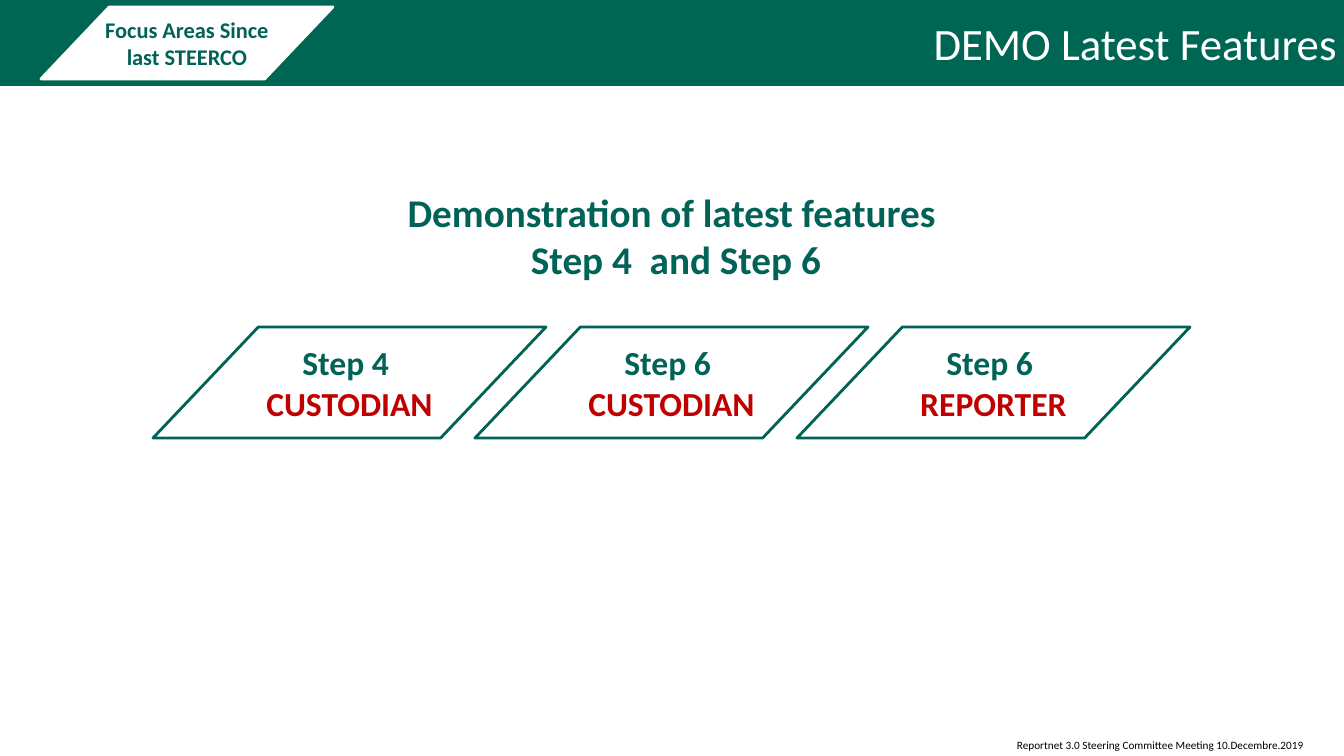
from dataclasses import dataclass

import pptx
import pptx.dml.color
import pptx.enum.shapes
import pptx.enum.text
import pptx.util

RGB = pptx.dml.color.RGBColor
MSO_SHAPE = pptx.enum.shapes.MSO_SHAPE
ALIGN = pptx.enum.text.PP_ALIGN
ANCHOR = pptx.enum.text.MSO_ANCHOR

BAND_GREEN = RGB(0x00, 0x66, 0x54)
TEXT_GREEN = RGB(0x01, 0x63, 0x57)
ROLE_RED = RGB(0xC0, 0x00, 0x00)
WHITE = RGB(0xFF, 0xFF, 0xFF)
BLACK = RGB(0x00, 0x00, 0x00)

SLIDE_W, SLIDE_H = 1344, 756
SLANT = 0.949
STEP_LEFT, STEP_PITCH = 153, 322


def px(length: int) -> int:
    """Turn pixels into EMU."""
    return round(length * 12192000 / SLIDE_W)


@dataclass(frozen=True)
class Box:
    left: int
    top: int
    width: int
    height: int

    def emu(self) -> tuple[int, int, int, int]:
        return px(self.left), px(self.top), px(self.width), px(self.height)


@dataclass(frozen=True)
class Line:
    text: str
    size: int
    color: RGB
    bold: bool = True


@dataclass(frozen=True)
class Step:
    name: str
    role: str


STEPS = [
    Step("Step 4 ", "CUSTODIAN"),
    Step("Step 6 ", "CUSTODIAN"),
    Step("Step 6 ", "REPORTER"),
]


def apply(target: object, values: dict) -> None:
    for attribute, value in values.items():
        setattr(target, attribute, value)


def write(frame, lines: list[Line], align: ALIGN, frame_format: dict) -> None:
    apply(frame, {"word_wrap": True, **frame_format})
    for index, line in enumerate(lines):
        paragraph = frame.add_paragraph() if index else frame.paragraphs[0]
        paragraph.alignment = align
        run = paragraph.add_run()
        run.text = line.text
        apply(run.font, {"name": "Calibri", "size": pptx.util.Pt(line.size),
                         "bold": line.bold})
        run.font.color.rgb = line.color


def add_parallelogram(slide, box: Box, outline: RGB, lines: list[Line],
                      inset: int):
    shape = slide.shapes.add_shape(MSO_SHAPE.PARALLELOGRAM, *box.emu())
    shape.adjustments[0] = SLANT
    shape.shadow.inherit = False
    shape.fill.solid()
    shape.fill.fore_color.rgb = WHITE
    shape.line.color.rgb = outline
    shape.line.width = pptx.util.Pt(2)
    margins = dict.fromkeys(
        ("margin_left", "margin_top", "margin_right", "margin_bottom"), px(inset))
    write(shape.text_frame, lines, ALIGN.CENTER,
          {"vertical_anchor": ANCHOR.MIDDLE, **margins})


def add_text(slide, box: Box, lines: list[Line], align: ALIGN,
             frame_format: dict) -> None:
    frame = slide.shapes.add_textbox(*box.emu()).text_frame
    write(frame, lines, align, frame_format)


def add_header(slide) -> None:
    title = slide.shapes.title
    apply(title, dict(zip(("left", "top", "width", "height"),
                          Box(29, 11, 1318, 65).emu())))
    write(title.text_frame, [Line("DEMO Latest Features", 32, WHITE, False)],
          ALIGN.RIGHT,
          {"auto_size": pptx.enum.text.MSO_AUTO_SIZE.NONE,
           "vertical_anchor": ANCHOR.TOP, "margin_left": px(4),
           "margin_right": px(10), "margin_top": px(5), "margin_bottom": px(5)})

    # Green band, placed behind the title
    band = slide.shapes.add_shape(MSO_SHAPE.RECTANGLE, *Box(0, 0, SLIDE_W, 86).emu())
    band.shadow.inherit = False
    band.fill.solid()
    band.fill.fore_color.rgb = BAND_GREEN
    band.line.fill.background()
    title.element.addprevious(band.element)


def main() -> None:
    presentation = pptx.Presentation()
    apply(presentation, {"slide_width": px(SLIDE_W), "slide_height": px(SLIDE_H)})
    slide = presentation.slides.add_slide(presentation.slide_layouts[5])

    # Header
    add_header(slide)
    add_parallelogram(slide, Box(41, 7, 292, 72), WHITE,
                      [Line("Focus Areas Since last STEERCO", 16, TEXT_GREEN)], 4)

    # Heading
    add_text(slide, Box(153, 183, 1037, 105),
             [Line("Demonstration of latest features", 28, TEXT_GREEN),
              Line(" Step 4  and Step 6", 28, TEXT_GREEN)], ALIGN.CENTER, {})

    # Row of steps
    for index, step in enumerate(STEPS):
        add_parallelogram(
            slide, Box(STEP_LEFT + index * STEP_PITCH, 327, 393, 111), TEXT_GREEN,
            [Line(step.name, 24, TEXT_GREEN), Line(step.role, 24, ROLE_RED)], 0)

    # Footer
    add_text(slide, Box(1007, 733, 308, 24),
             [Line("Reportnet 3.0 Steering Committee Meeting 10.Decembre.2019",
                   8, BLACK, False)], ALIGN.LEFT, {"word_wrap": False})

    presentation.save("out.pptx")


if __name__ == "__main__":
    main()
